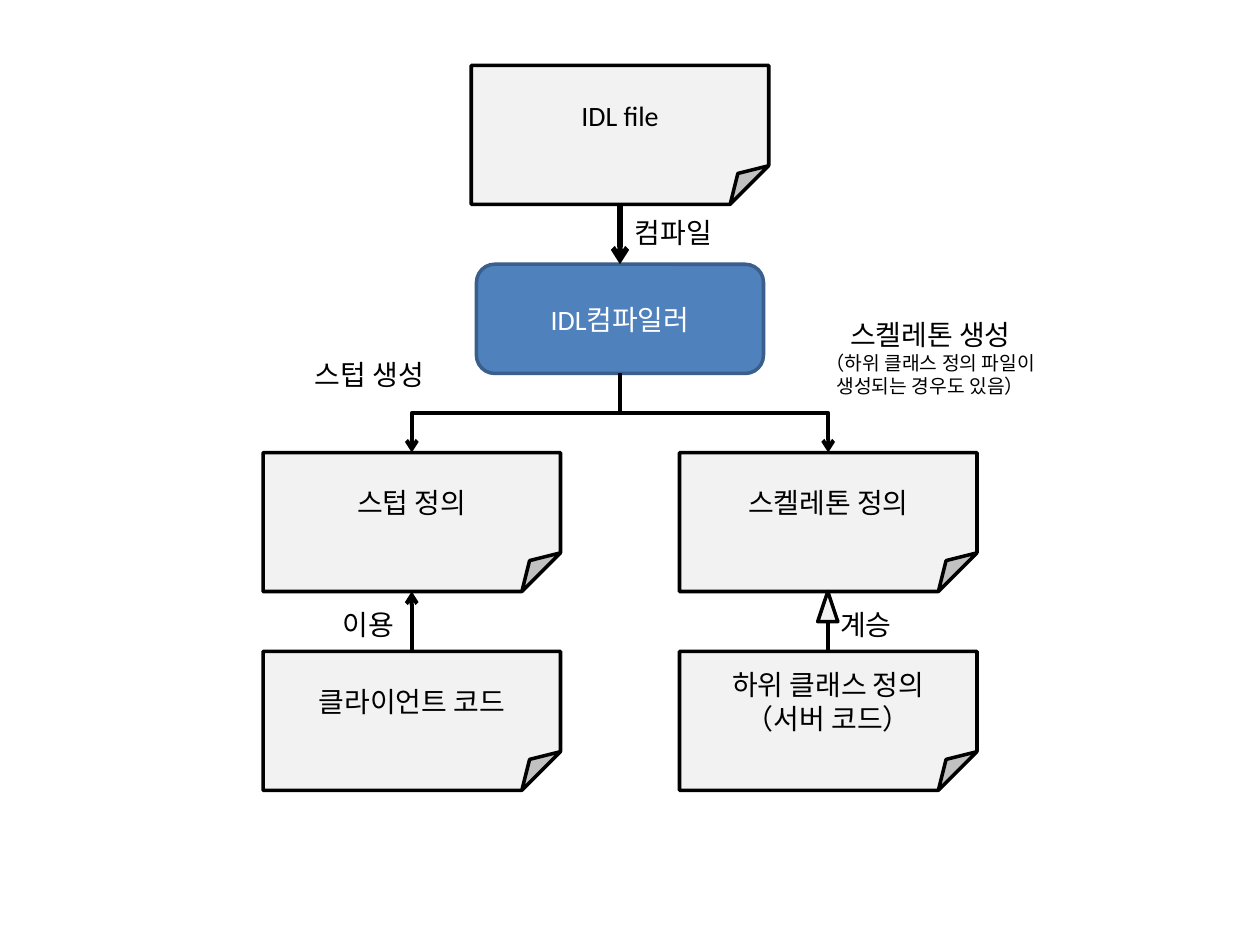
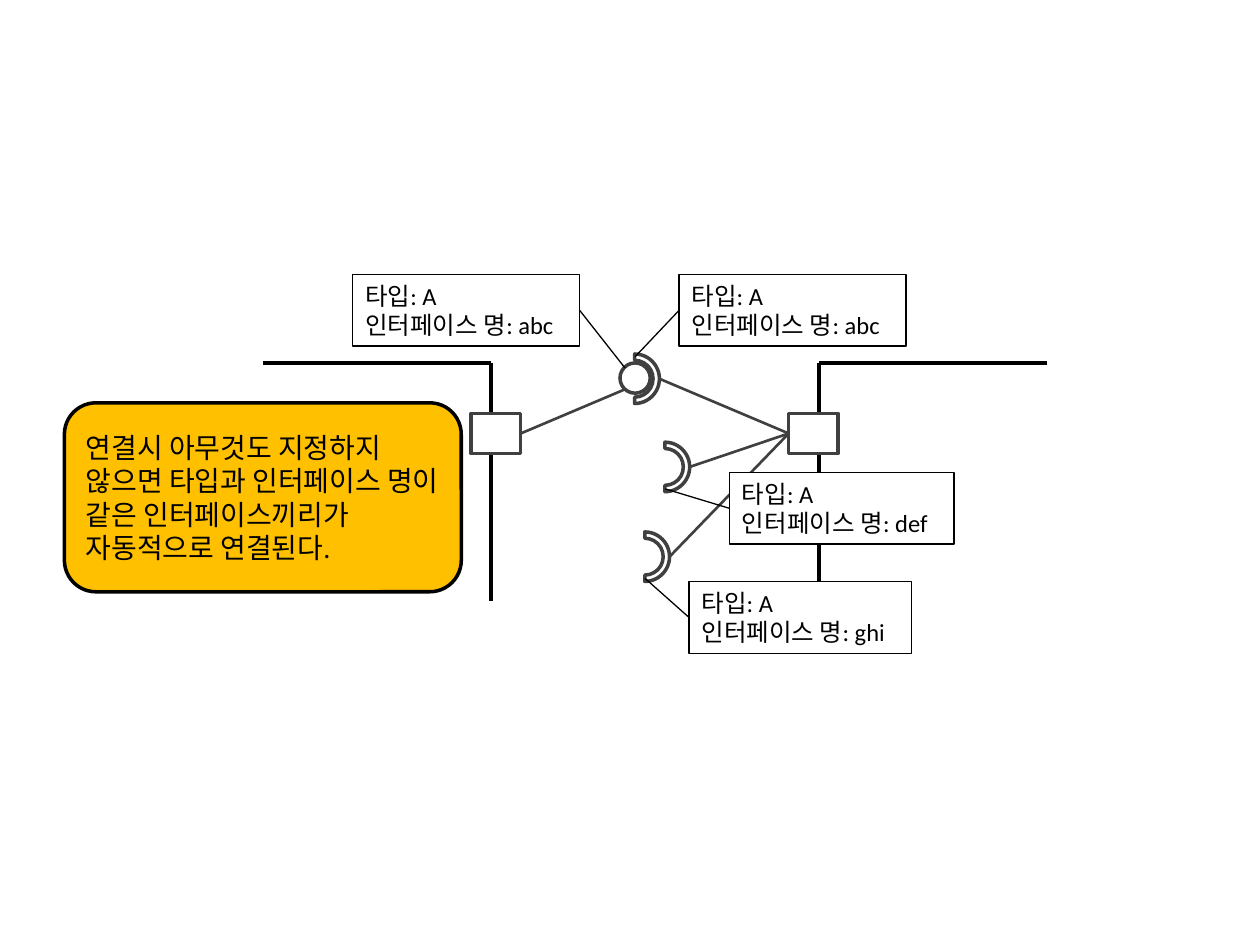
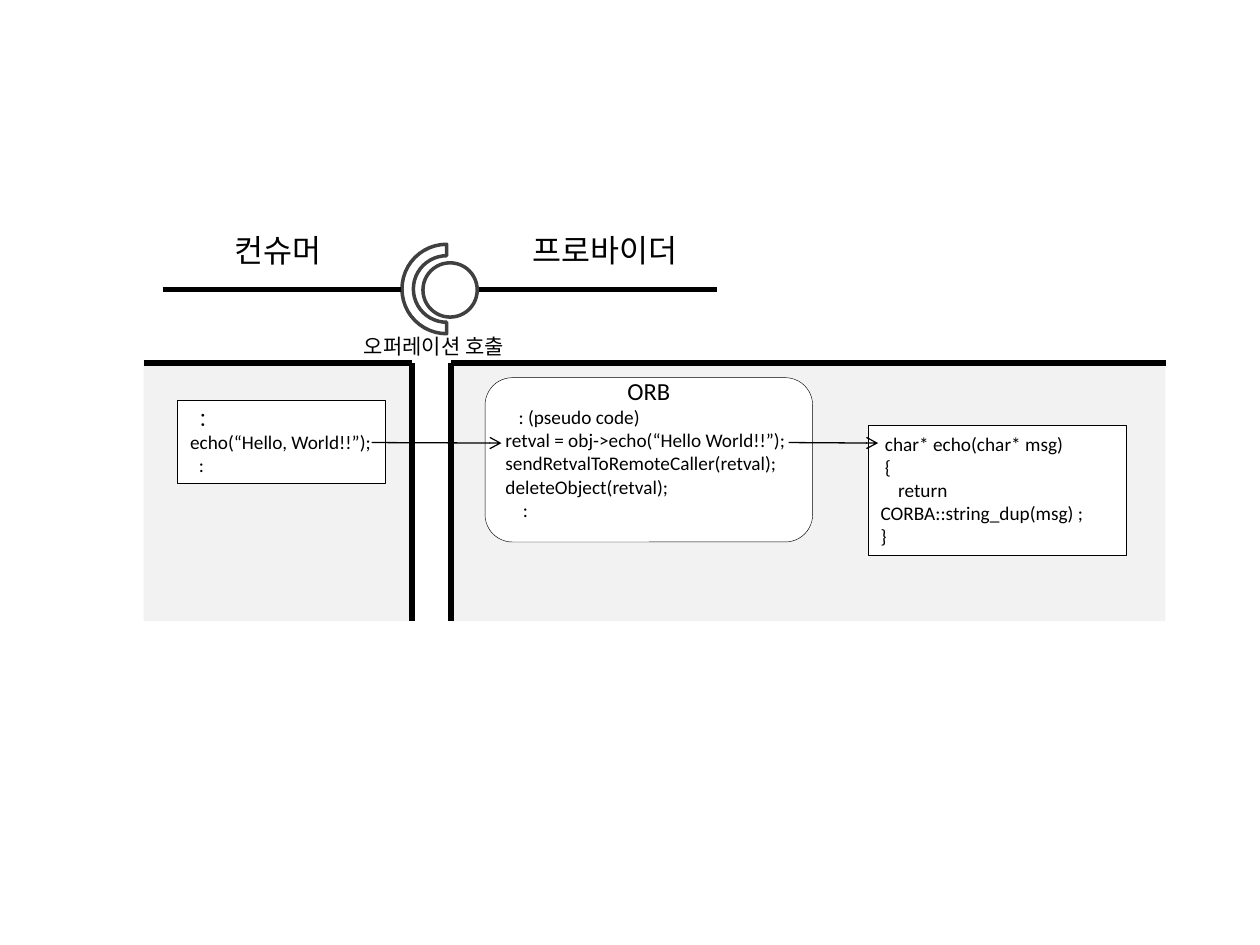
from dataclasses import dataclass
from lxml.etree import SubElement
from pptx import Presentation
from pptx.dml.color import RGBColor
from pptx.enum.shapes import MSO_CONNECTOR as WIRE, MSO_SHAPE as KIND
from pptx.enum.text import MSO_ANCHOR as ANCHOR, MSO_AUTO_SIZE as FIT, PP_ALIGN as ALIGN
from pptx.oxml.ns import qn
from pptx.util import Pt


@dataclass(frozen=True)
class Theme:
    """Colours, font and type sizes of the deck."""
    black: str = "000000"
    white: str = "FFFFFF"
    pale: str = "F2F2F2"
    gray: str = "404040"
    blue: str = "4F81BD"
    navy: str = "3A5F8C"
    gold: str = "FFC000"
    font: str = "Calibri"
    head: float = 18
    body: float = 16
    label: float = 14
    note: float = 12
    code: float = 11


theme = Theme()
MIDDLE = {"word_wrap": True, "vertical_anchor": ANCHOR.MIDDLE}
GROW = {"word_wrap": True, "vertical_anchor": ANCHOR.TOP,
        "auto_size": FIT.SHAPE_TO_FIT_TEXT}
LOOSE = {**GROW, "word_wrap": False}


def add_box(slide, kind, at, lines=(), fill=None, edge=None, width=2, size=theme.body,
            ink=theme.black, align=ALIGN.LEFT, frame=MIDDLE):
    """Add a shape, or a text box if kind is None; a line is text or (text, size, indent, align)."""
    place = [Pt(v) for v in at]
    if kind is None:
        shape = slide.shapes.add_textbox(*place)
    else:
        shape = slide.shapes.add_shape(kind, *place)
        shape.shadow.inherit = False
    if fill:
        shape.fill.solid()
        shape.fill.fore_color.rgb = RGBColor.from_string(fill)
    else:
        shape.fill.background()
    if edge:
        shape.line.color.rgb = RGBColor.from_string(edge)
        shape.line.width = Pt(width)
    else:
        shape.line.fill.background()
    if lines:
        for name, value in frame.items():
            setattr(shape.text_frame, name, value)
    for i, item in enumerate(lines):
        text, pts, indent, side = item if isinstance(item, tuple) else (item, size, 0, align)
        para = shape.text_frame.paragraphs[0] if i == 0 else shape.text_frame.add_paragraph()
        para.alignment = side
        if indent:
            para._p.get_or_add_pPr().set("indent", str(Pt(indent)))
        run = para.add_run()
        run.text = text
        for name, value in {"name": theme.font, "size": Pt(pts)}.items():
            setattr(run.font, name, value)
        run.font.color.rgb = RGBColor.from_string(ink)
    return shape


def add_line(slide, start, end, width=2.25, ink=theme.black, arrow=False, turn=0):
    """Add a straight line, or an elbow turned by the given degrees."""
    kind = WIRE.ELBOW if turn else WIRE.STRAIGHT
    line = slide.shapes.add_connector(kind, *[Pt(v) for v in (*start, *end)])
    line.line.color.rgb = RGBColor.from_string(ink)
    line.line.width = Pt(width)
    props = line._element.spPr
    if arrow:
        SubElement(props.find(qn("a:ln")), qn("a:tailEnd"), type="arrow")
    if turn:
        props.find(qn("a:xfrm")).set("rot", str(turn * 60000))
    SubElement(props, qn("a:effectLst"))


deck = Presentation()
deck.slide_width, deck.slide_height = Pt(720), Pt(540)
blank = deck.slide_layouts[6]

# Slide 1: from the IDL file to stub and skeleton
slide = deck.slides.add_slide(blank)
mid, reach = 354.3, 119
left, right = mid - reach, mid + reach
wide, high = 170, 79.4
top, row, base = 37.4, 258.6, 372.2
core, foot = 151, 213.4

for x, y, lines in [
    (mid, top, ["IDL file"]),
    (left, row, ["스텁 정의"]),
    (right, row, ["스켈레톤 정의"]),
    (left, base, ["클라이언트 코드"]),
    (right, base, ["하위 클래스 정의", "（서버 코드）"]),
]:
    page = add_box(slide, KIND.FOLDED_CORNER, (x - wide / 2, y, wide, high), lines,
                   theme.pale, theme.black, align=ALIGN.CENTER)
    fold = page._element.spPr.find(qn("a:prstGeom")).get_or_add_avLst()
    SubElement(fold, qn("a:gd"), name="adj", fmla="val 27800")
add_box(slide, KIND.ROUNDED_RECTANGLE, (mid - 82, core, 164, foot - core), ["IDL컴파일러"],
        theme.blue, theme.navy, ink=theme.white, align=ALIGN.CENTER)

add_line(slide, (mid, top + high), (mid, core), 3, arrow=True)
drop, level = row - foot, (row + foot) / 2
for x, turn in [(left, 90), (right, 270)]:
    side = 1 if x < mid else -1
    hub = (mid + x) / 2
    add_line(slide, (hub - side * drop / 2, level - reach / 2),
             (hub + side * drop / 2, level + reach / 2), arrow=True, turn=turn)
add_line(slide, (left, base), (left, row + high), arrow=True)
add_line(slide, (right, base), (right, row + high))
add_box(slide, KIND.ISOSCELES_TRIANGLE, (right - 6, row + high, 11.5, 17.2),
        fill=theme.pale, edge=theme.black)

for x, y, w, text in [
    (355.7, 119.5, 63.4, "컴파일"),
    (172.8, 201, 82.8, "스텁 생성"),
    (473, 343.6, 46.8, "계승"),
    (188.6, 343.6, 46.8, "이용"),
]:
    add_box(slide, None, (x, y, w, 26.6), [text], frame=LOOSE)
add_box(slide, None, (462.2, 177.8, 139, 53.3), [
    "스켈레톤 생성",
    ("（하위 클래스 정의 파일이", theme.code, 0, ALIGN.CENTER),
    ("생성되는 경우도 있음）", theme.code, 0, ALIGN.CENTER),
], align=ALIGN.CENTER, frame=LOOSE)

# Slide 2: ports joined by type and interface name
slide = deck.slides.add_slide(blank)
top, base = 207.4, 343.4
for far, near in [(598.3, 468), (150.5, 280.8)]:
    add_line(slide, (far, top), (near, top))
    add_line(slide, (near, top), (near, base))
for x in (269.3, 450.7):
    add_box(slide, KIND.RECTANGLE, (x, 236.2, 28.3, 23), fill=theme.white, edge=theme.gray)
add_box(slide, KIND.OVAL, (354.3, 207.4, 17.3, 17.3), fill=theme.white, edge=theme.gray)
add_line(slide, (297.6, 247.7), (357.1, 222.5), 1.5, theme.gray)

bow = 28.3
for x, y in [(348.5, 202.3), (365.8, 252.7), (354.3, 304)]:
    arc = add_box(slide, KIND.BLOCK_ARC, (x, y, bow, bow), fill=theme.white, edge=theme.gray)
    arc.rotation = 90
    arc.adjustments[2] = 0.128
    add_line(slide, (450.7, 247.7), (x + bow, y + bow / 2), 1.5, theme.gray)

high = 41
for x, y, w, name, fill, edge, tip in [
    (388.1, 156.8, 129.6, "abc", None, 0, (363, 203.8)),
    (393.8, 332.4, 126.9, "ghi", theme.white, 0, (368.6, 330.5)),
    (416.9, 270, 128.2, "def", theme.white, 0, (380.2, 279.4)),
    (201.6, 156.8, 129.6, "abc", None, 1, (357.1, 210.2)),
]:
    add_box(slide, None, (x, y, w, high), ["타입: A", f"인터페이스 명: {name}"],
            fill, theme.black, 0.75, theme.label, frame=LOOSE)
    add_line(slide, (x + edge * w, y + high / 2), tip, 0.75)
add_box(slide, KIND.ROUNDED_RECTANGLE, (36.8, 230.2, 226.8, 108), [
    "연결시 아무것도 지정하지 않으면 타입과 인터페이스 명이 같은 인터페이스끼리가 자동적으로 연결된다.",
], theme.gold, theme.black)

# Slide 3: a call from consumer to provider
slide = deck.slides.add_slide(blank)
top, high = 207.4, 147.6
panels = [(257.8, 408.2, 257.8), (82.1, 153.4, 235.5)]
for x, w, wall in panels:
    add_box(slide, KIND.RECTANGLE, (x, top, w, high), fill=theme.pale)
add_box(slide, KIND.OVAL, (241.7, 150.2, 31, 31), fill=theme.white, edge=theme.gray)
arc = add_box(slide, KIND.BLOCK_ARC, (229.7, 139.6, 51.1, 51.1),
              fill=theme.white, edge=theme.gray)
arc.rotation = 270
arc.adjustments[2] = 0.128

for x, y, w, h, text, size in [
    (126.7, 128.2, 69.1, 29, "컨슈머", theme.head),
    (297.4, 128.2, 105.1, 29, "프로바이더", theme.head),
    (200.9, 187.2, 102.2, 21.8, "오퍼레이션 호출", theme.note),
]:
    add_box(slide, None, (x, y, w, h), [text], size=size, frame=LOOSE)

size, side = theme.code, ALIGN.LEFT
add_box(slide, KIND.RECTANGLE, (101.5, 229, 118.8, 47.5), [
    ("：", size, 5, side),
    "echo(“Hello, World!!”);",
    (":", size, 5, side),
], theme.white, theme.black, 0.75, size, frame=GROW)
add_box(slide, KIND.ROUNDED_RECTANGLE, (277.2, 215.8, 187.2, 93.9), [
    ("ORB", theme.label, 0, ALIGN.CENTER),
    (": (pseudo code)", size, 7.5, side),
    "retval = obj->echo(“Hello World!!”);",
    "sendRetvalToRemoteCaller(retval);",
    "deleteObject(retval);",
    (":", size, 10, side),
], theme.white, theme.black, 0.25, size, frame={**MIDDLE, "margin_bottom": Pt(16.4)})
add_box(slide, KIND.RECTANGLE, (496.1, 243.2, 147.6, 74.2), [
    ("char* echo(char* msg)", size, 2.5, side),
    ("{", size, 2.5, side),
    ("return CORBA::string_dup(msg) ;", size, 10, side),
    "}",
], theme.white, theme.black, 0.75, size, frame=GROW)

for start, end in [(450.7, 501.8), (212.4, 286.6)]:
    add_line(slide, (start, 252.9), (end, 253.2), 0.75, arrow=True)
for start, end in [(273.6, 409.7), (92.9, 229)]:
    add_line(slide, (start, 165.5), (end, 165.5), 3)
for x, w, wall in panels:
    add_line(slide, (x, top), (x + w, top), 3)
    add_line(slide, (wall, top), (wall, top + high), 3)

deck.save("out.pptx")
